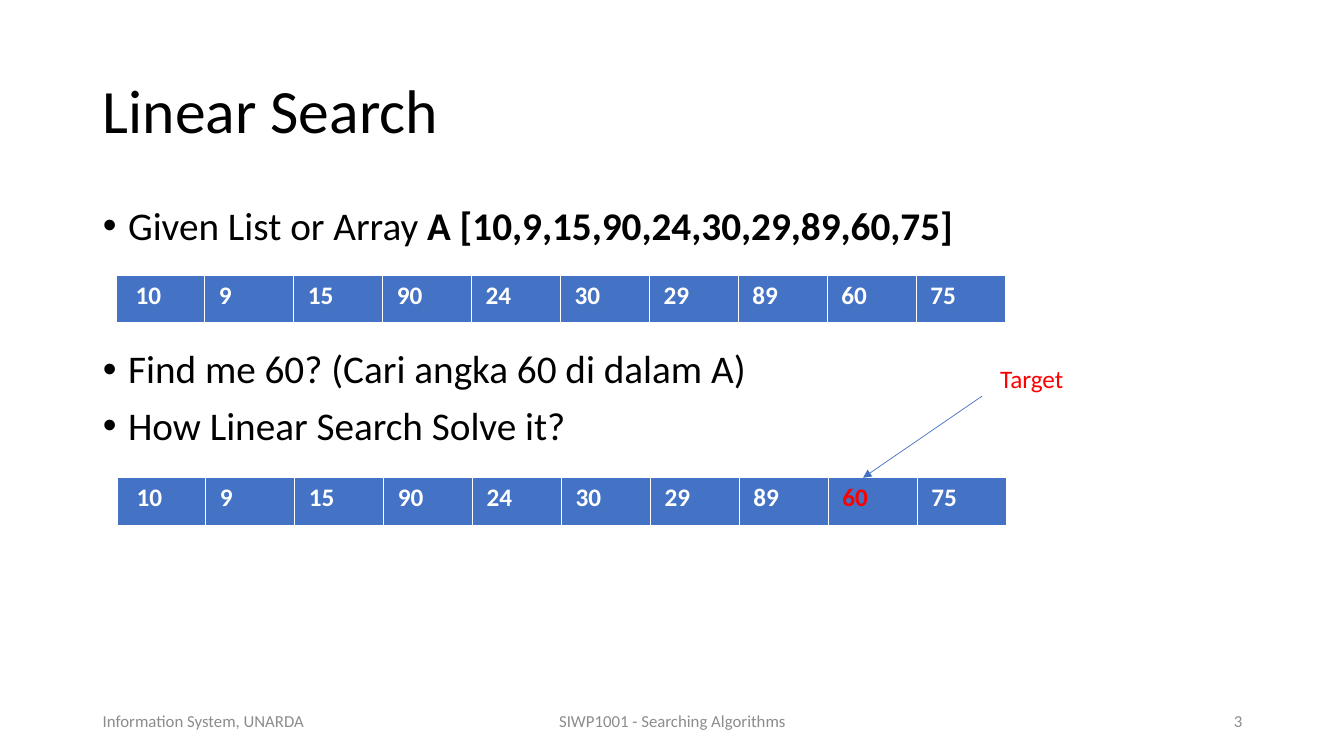
"""Build the Linear Search slide with two array tables and a marked target."""
from lxml import etree
from pptx import Presentation
from pptx.dml.color import RGBColor
from pptx.enum.shapes import MSO_CONNECTOR
from pptx.enum.text import MSO_ANCHOR, MSO_AUTO_SIZE, PP_ALIGN
from pptx.oxml.ns import qn
from pptx.util import Inches, Pt

LEFT, CENTER, RIGHT = PP_ALIGN.LEFT, PP_ALIGN.CENTER, PP_ALIGN.RIGHT
MIDDLE, TOP = MSO_ANCHOR.MIDDLE, MSO_ANCHOR.TOP
NO_FIT = MSO_AUTO_SIZE.NONE
STRAIGHT = MSO_CONNECTOR.STRAIGHT

FONT = "Calibri"
BLACK, WHITE, GRAY, BLUE, RED = "000000", "FFFFFF", "8C8C8C", "4472C4", "FF0000"

TITLE = "Linear Search"
BULLETS = [
    ([("Given List or Array ", False), ("A [10,9,15,90,24,30,29,89,60,75]", True)], 10),
    ([("Find me 60? (Cari angka 60 di dalam A)", False)], 72),
    ([("How Linear Search Solve it?", False)], 10),
]
VALUES = [" 10", "9", "15", "90", "24", "30", "29", "89", "60", "75"]
TARGET = "60"
ARRAYS = [(1.15, 2.73, None), (1.16, 4.74, TARGET)]
CELL_WIDTH, CELL_HEIGHT = 0.882, 0.47
ARROW = (9.74, 3.93, 8.56, 4.74)
FOOTERS = [
    ("Information System, UNARDA", 0.92, 3, LEFT),
    ("SIWP1001 - Searching Algorithms", 4.42, 4.5, CENTER),
    ("3", 9.42, 3, RIGHT),
]


def rgb(value):
    return RGBColor.from_string(value)


def style(font, size, color):
    font.name, font.size = FONT, Pt(size)
    font.color.rgb = rgb(color)


def place(shape, left, top, width, height):
    shape.left, shape.top = Inches(left), Inches(top)
    shape.width, shape.height = Inches(width), Inches(height)


def add_label(slide, text, box, size, color, align=LEFT, anchor=TOP, wrap=True):
    frame = slide.shapes.add_textbox(*map(Inches, box)).text_frame
    frame.word_wrap, frame.vertical_anchor = wrap, anchor
    paragraph = frame.paragraphs[0]
    paragraph.text, paragraph.alignment = text, align
    style(paragraph.font, size, color)


def add_title(slide):
    title = slide.shapes.title
    place(title, 0.92, 0.4, 11.5, 1.45)
    frame = title.text_frame
    frame.text, frame.vertical_anchor, frame.auto_size = TITLE, MIDDLE, NO_FIT
    paragraph = frame.paragraphs[0]
    paragraph.alignment, paragraph.line_spacing = LEFT, 0.9
    style(paragraph.font, 44, BLACK)


def add_bullets(slide):
    body = slide.placeholders[1]
    place(body, 0.92, 2, 11.5, 4.76)
    frame = body.text_frame
    frame.auto_size = NO_FIT
    for index, (runs, space) in enumerate(BULLETS):
        paragraph = frame.add_paragraph() if index else frame.paragraphs[0]
        for text, bold in runs:
            run = paragraph.add_run()
            run.text, run.font.bold = text, bold
        paragraph.line_spacing, paragraph.space_before = 0.9, Pt(space)
        style(paragraph.font, 28, BLACK)
        properties = paragraph._p.get_or_add_pPr()
        properties.set("marL", str(Inches(0.25)))
        properties.set("indent", str(Inches(-0.25)))


def add_array(slide, left, top, marked):
    count = len(VALUES)
    array = slide.shapes.add_table(
        1, count, Inches(left), Inches(top),
        Inches(CELL_WIDTH * count), Inches(CELL_HEIGHT)).table
    for column, value in enumerate(VALUES):
        array.columns[column].width = Inches(CELL_WIDTH)
        cell = array.cell(0, column)
        cell.text = value
        cell.margin_left = cell.margin_right = Inches(0.14)
        cell.fill.solid()
        cell.fill.fore_color.rgb = rgb(BLUE)
        font = cell.text_frame.paragraphs[0].font
        style(font, 18, RED if value == marked else WHITE)
        font.bold = True


def add_arrow(slide):
    arrow = slide.shapes.add_connector(STRAIGHT, *map(Inches, ARROW))
    arrow.line.color.rgb = rgb(BLUE)
    arrow.line.width = Pt(0.5)
    etree.SubElement(arrow.line._get_or_add_ln(), qn("a:tailEnd"), type="triangle")
    etree.SubElement(arrow._element.spPr, qn("a:effectLst"))


def main():
    deck = Presentation()
    deck.slide_width, deck.slide_height = Inches(13.33), Inches(7.5)
    slide = deck.slides.add_slide(deck.slide_layouts[1])
    add_title(slide)
    for text, left, width, align in FOOTERS:
        add_label(slide, text, (left, 6.95, width, 0.4), 12, GRAY, align, MIDDLE)
    add_bullets(slide)
    for left, top, marked in ARRAYS:
        add_array(slide, left, top, marked)
    add_arrow(slide)
    add_label(slide, "Target", (9.82, 3.56, 0.84, 0.4), 18, RED, wrap=False)
    deck.save("out.pptx")


if __name__ == "__main__":
    main()
